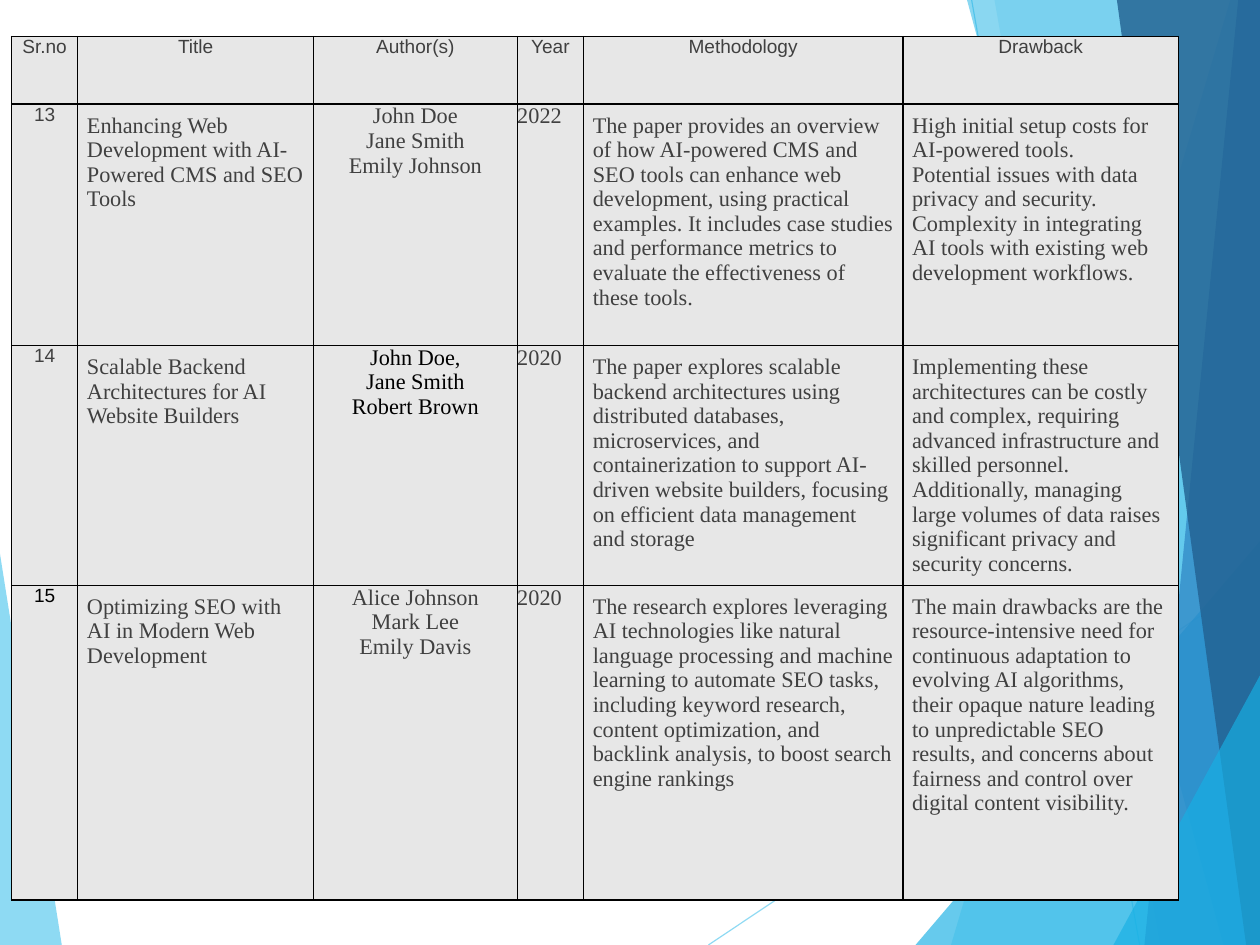
from dataclasses import dataclass

from lxml import etree
from pptx import Presentation
from pptx.dml.color import RGBColor
from pptx.enum.shapes import MSO_CONNECTOR
from pptx.enum.text import PP_ALIGN
from pptx.oxml.ns import qn
from pptx.util import Pt

LEFT, CENTER = PP_ALIGN.LEFT, PP_ALIGN.CENTER
STRAIGHT = MSO_CONNECTOR.STRAIGHT
W, H = 792.72, 594.72
COLORS = {
    "sky": "5FCBEF", "cyan": "17B0E4", "blue": "2E83C3", "navy": "236292",
    "cell": "E7E7E7", "text": "404040", "black": "000000",
}
SANS, SERIF = "Arial", "Times New Roman"
COL_WIDTHS = [41.76, 148.32, 128.16, 41.76, 200.88, 173.52]
ROW_HEIGHTS = [42.5, 152, 145.5, 198]
HEADERS = ["Sr.no", "Title", "Author(s)", "Year", "Methodology", "Drawback"]


@dataclass
class Facet:
    points: list[tuple[float, float]]
    color: str
    alpha: int


@dataclass
class Ray:
    start: tuple[float, float]
    end: tuple[float, float]


@dataclass
class Paper:
    number: str
    title: str
    authors: str
    year: str
    methodology: str
    drawback: str
    number_color: str = "text"
    author_color: str = "text"


def band(top: float, bottom: float, color: str, alpha: int) -> Facet:
    return Facet([(top, 0), (bottom, H), (W, H), (W, 0)], color, alpha)


def corner(base: float, rise: float, color: str, alpha: int, edge: float = W) -> Facet:
    return Facet([(base, H), (edge, rise), (edge, H)], color, alpha)


BACKDROP = [
    corner(38.9, 348.5, "sky", 70, edge=0),
    Ray((445.7, H), (W, 362.5)),
    Ray((611.3, 0), (717, H)),
    band(774, 598.3, "sky", 36),
    band(625.7, 730, "sky", 20),
    corner(576, 340.5, "cyan", 66),
    band(608.4, 769.7, "cyan", 50),
    band(779, 720, "blue", 70),
    band(702.7, 784, "navy", 82),
    corner(700.5, 425, "cyan", 66),
]
PAPERS = [
    Paper(
        "13", "Enhancing Web Development with AI-Powered CMS and SEO Tools",
        "John Doe\nJane Smith\nEmily Johnson", "2022",
        "The paper provides an overview of how AI-powered CMS and SEO tools can enhance "
        "web development, using practical examples. It includes case studies and "
        "performance metrics to evaluate the effectiveness of these tools.",
        "High initial setup costs for AI-powered tools.\n"
        "Potential issues with data privacy and security.\n"
        "Complexity in integrating AI tools with existing web development workflows.",
    ),
    Paper(
        "14", "Scalable Backend Architectures for AI Website Builders",
        "John Doe,\nJane Smith\nRobert Brown", "2020",
        "The paper explores scalable backend architectures using distributed databases, "
        "microservices, and containerization to support AI-driven website builders, "
        "focusing on efficient data management and storage",
        "Implementing these architectures can be costly and complex, requiring advanced "
        "infrastructure and skilled personnel. Additionally, managing large volumes of "
        "data raises significant privacy and security concerns.",
        author_color="black",
    ),
    Paper(
        "15", "Optimizing SEO with AI in Modern Web Development",
        "Alice Johnson\nMark Lee\nEmily Davis", "2020",
        "The research explores leveraging AI technologies like natural language processing "
        "and machine learning to automate SEO tasks, including keyword research, content "
        "optimization, and backlink analysis, to boost search engine rankings",
        "The main drawbacks are the resource-intensive need for continuous adaptation to "
        "evolving AI algorithms, their opaque nature leading to unpredictable SEO results, "
        "and concerns about fairness and control over digital content visibility.",
        number_color="black",
    ),
]


def rgb(name: str) -> RGBColor:
    return RGBColor.from_string(COLORS[name])


def set_alpha(element, percent: int) -> None:
    color = next(element.iter(qn("a:srgbClr")))
    etree.SubElement(color, qn("a:alpha"), val=str(percent * 1000))


def draw_facet(s, facet: Facet) -> None:
    points = [(Pt(x), Pt(y)) for x, y in facet.points]
    builder = s.shapes.build_freeform(*points[0])
    builder.add_line_segments(points[1:], close=True)
    sp = builder.convert_to_shape()
    sp.shadow.inherit = False
    sp.line.fill.background()
    sp.fill.solid()
    sp.fill.fore_color.rgb = rgb(facet.color)
    set_alpha(sp.fill._xPr, facet.alpha)


def draw_ray(s, ray: Ray) -> None:
    x1, y1, x2, y2 = (Pt(v) for v in ray.start + ray.end)
    line = s.shapes.add_connector(STRAIGHT, x1, y1, x2, y2)
    line.line.width = Pt(0.75)
    line.line.color.rgb = rgb("sky")
    sp_pr = line._element.spPr
    set_alpha(sp_pr, 70)
    etree.SubElement(sp_pr, qn("a:effectLst"))


def write(tf, text: str, *, font: str = SERIF, size: float = 14,
          color: str = "text", align=LEFT) -> None:
    for i, line in enumerate(text.split("\n")):
        p = tf.add_paragraph() if i else tf.paragraphs[0]
        p.alignment = align
        r = p.add_run()
        r.text = line
        r.font.name = font
        r.font.size = Pt(size)
        r.font.color.rgb = rgb(color)


def fill_cell(cell, text: str, *, inset: float = 0, **text_format) -> None:
    cell.margin_left = cell.margin_right = Pt(inset)
    cell.margin_top = cell.margin_bottom = Pt(inset)
    tc_pr = cell._tc.get_or_add_tcPr()
    for side in ("lnL", "lnR", "lnT", "lnB"):
        ln = etree.SubElement(tc_pr, qn(f"a:{side}"), w=str(Pt(1)))
        fill = etree.SubElement(ln, qn("a:solidFill"))
        etree.SubElement(fill, qn("a:srgbClr"), val=COLORS["black"])
    cell.fill.solid()
    cell.fill.fore_color.rgb = rgb("cell")
    write(cell.text_frame, text, **text_format)


def draw_table(s) -> None:
    table = s.shapes.add_table(
        len(ROW_HEIGHTS), len(COL_WIDTHS), Pt(7.2), Pt(23),
        Pt(sum(COL_WIDTHS)), Pt(sum(ROW_HEIGHTS))).table
    table.first_row = table.horz_banding = False
    for column, width in zip(table.columns, COL_WIDTHS):
        column.width = Pt(width)
    for row, height in zip(table.rows, ROW_HEIGHTS):
        row.height = Pt(height)
    label = {"font": SANS, "size": 12, "align": CENTER}
    for col, header in enumerate(HEADERS):
        fill_cell(table.cell(0, col), header, **label)
    for row, paper in enumerate(PAPERS, 1):
        fill_cell(table.cell(row, 0), paper.number, color=paper.number_color, **label)
        fill_cell(table.cell(row, 2), paper.authors, color=paper.author_color, align=CENTER)
        fill_cell(table.cell(row, 3), paper.year)
        for col, text in ((1, paper.title), (4, paper.methodology), (5, paper.drawback)):
            fill_cell(table.cell(row, col), text, inset=5.76)


def main() -> None:
    prs = Presentation()
    prs.slide_width, prs.slide_height = Pt(W), Pt(H)
    s = prs.slides.add_slide(prs.slide_layouts[6])
    for item in BACKDROP:
        if isinstance(item, Ray):
            draw_ray(s, item)
        else:
            draw_facet(s, item)
    draw_table(s)
    prs.save("out.pptx")


if __name__ == "__main__":
    main()
